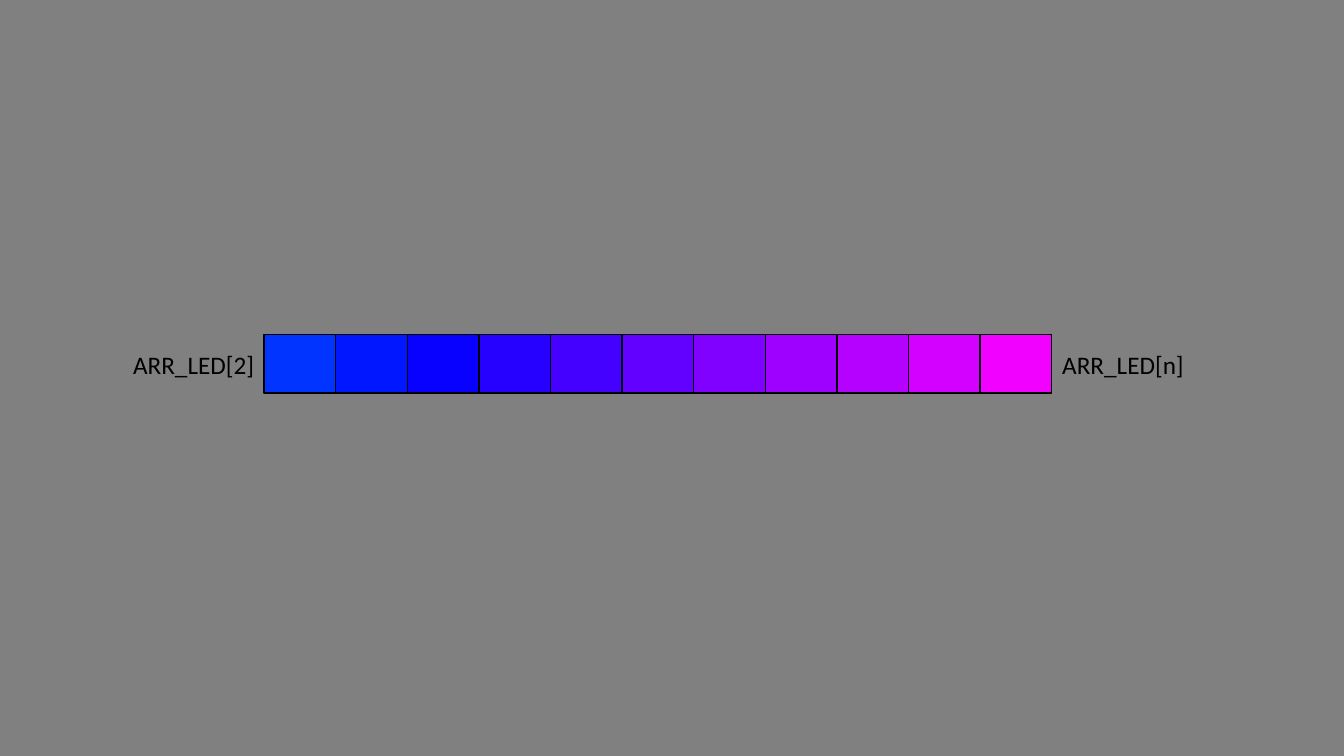
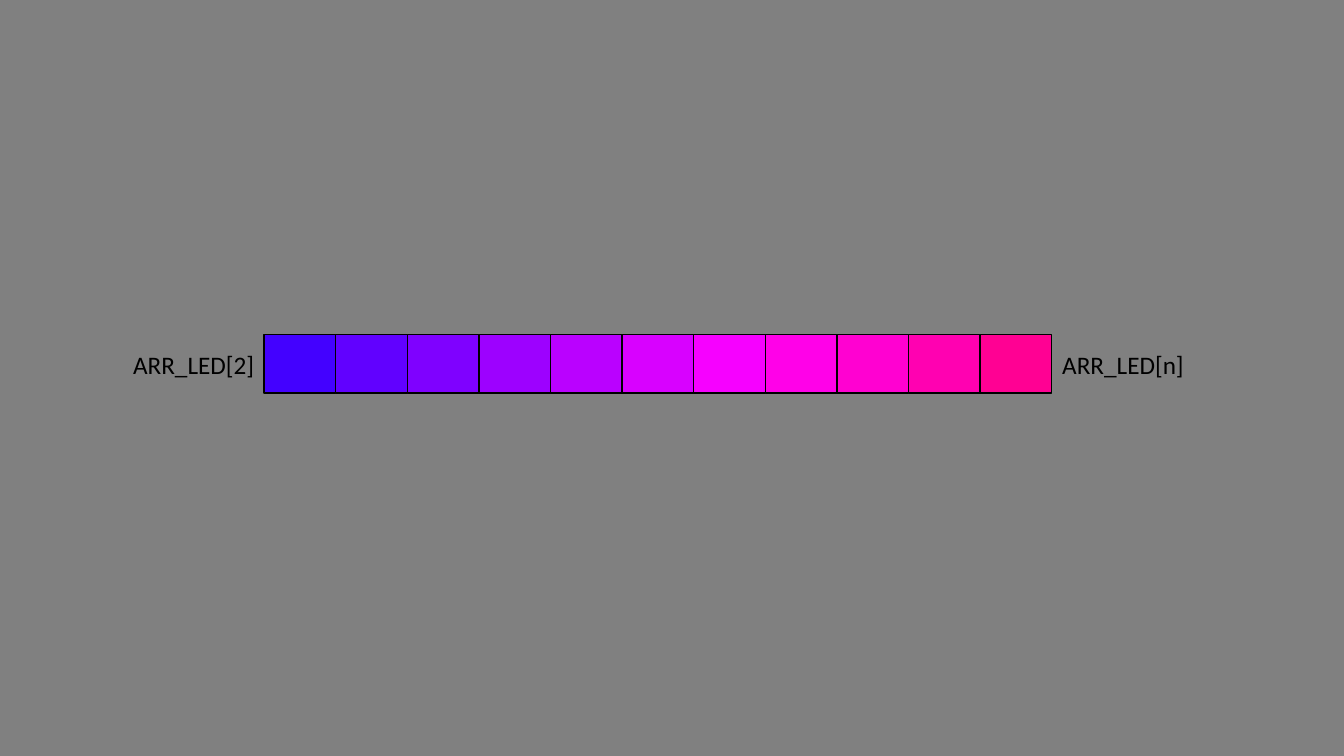
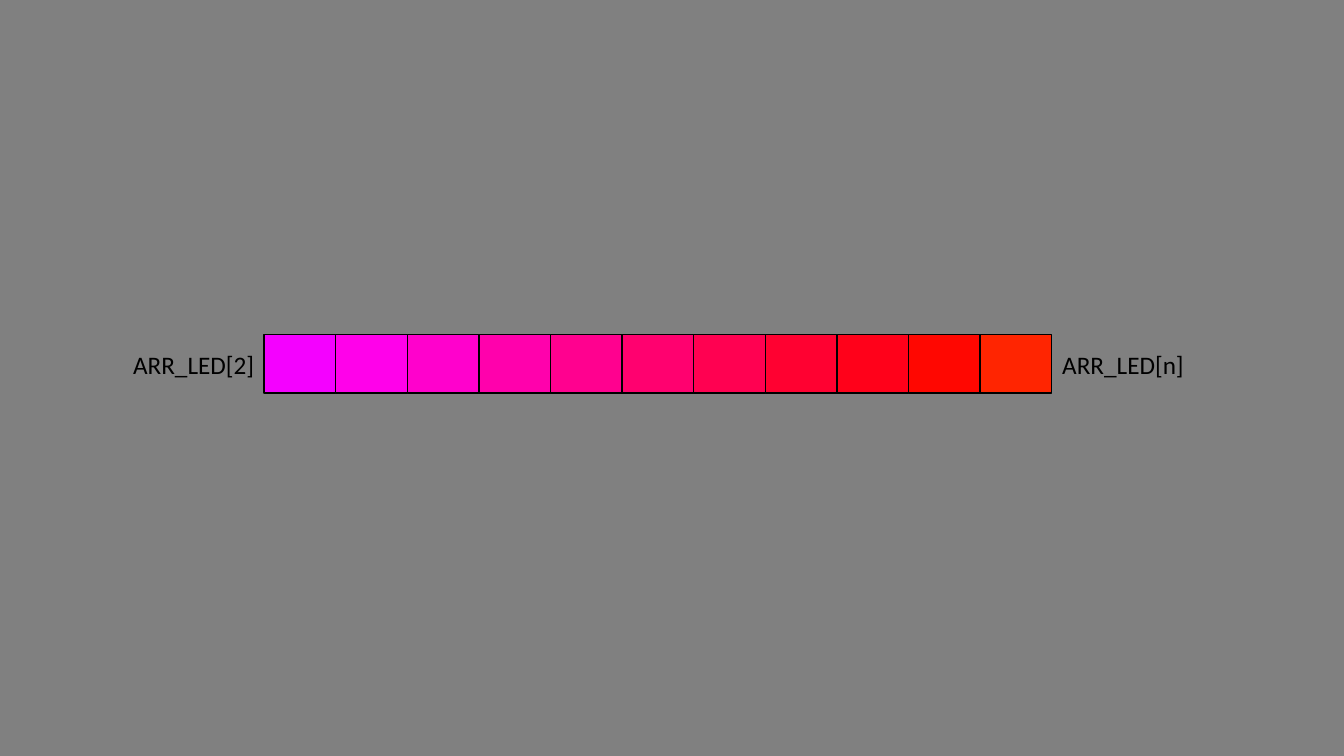
from dataclasses import dataclass

from pptx import Presentation
from pptx import util as u
from pptx.dml import color
from pptx.enum import shapes, text


@dataclass(frozen=True)
class Theme:
    background: str = "808080"
    ink: str = "000000"
    font: str = "Calibri"
    label_size: float = 18
    outline: float = 1


@dataclass(frozen=True)
class Grid:
    """One column is one LED wide, one row is one LED high (inches)."""
    left: float = 2.62
    top: float = 3.32
    column: float = 0.71
    row: float = 0.58

    def area(self, column, row, columns=1, rows=1):
        return (u.Inches(self.left + column * self.column),
                u.Inches(self.top + row * self.row),
                u.Inches(columns * self.column),
                u.Inches(rows * self.row))


THEME = Theme()
GRID = Grid()

# LED colours from first to last, one strip per slide
STRIPS = [
    "0135FF 0117FF 0901FF 2701FF 4401FF 6201FF 8001FF 9E01FF B501FF D301FF F101FF",
    "4301FF 6101FF 7F01FF 9D01FF BA01FF D801FF F601FF FF01E8 FF01D1 FF01B1 FF0193",
    "F401FF FF01EA FF01CC FF01AC FF018F FF016F FF0151 FF0131 FF011A FF0701 FF2501",
]

# Text, column and row of the labels at both ends of the strip
LABELS = [
    ("ARR_LED[2]", -1.97, 0.16),
    ("ARR_LED[n]", 11.01, 0.17),
]


def rgb(value):
    return color.RGBColor.from_string(value)


def add_text(page, content, area, *, size=THEME.label_size, ink=THEME.ink, font=THEME.font):
    box = page.shapes.add_textbox(*area)
    frame = box.text_frame
    frame.word_wrap = False
    frame.auto_size = text.MSO_AUTO_SIZE.SHAPE_TO_FIT_TEXT
    span = frame.paragraphs[0].add_run()
    span.text = content
    span.font.name = font
    span.font.size = u.Pt(size)
    span.font.color.rgb = rgb(ink)


def add_led(page, fill, area):
    led = page.shapes.add_shape(shapes.MSO_SHAPE.RECTANGLE, *area)
    led.shadow.inherit = False
    led.fill.solid()
    led.fill.fore_color.rgb = rgb(fill)
    led.line.color.rgb = rgb(THEME.ink)
    led.line.width = u.Pt(THEME.outline)


def add_strip_page(deck, fills):
    page = deck.slides.add_slide(deck.slide_layouts[6])
    for column, fill in enumerate(fills):
        add_led(page, fill, GRID.area(column, 0))
    for content, column, row in LABELS:
        add_text(page, content, GRID.area(column, row, columns=2, rows=0.69))


def main():
    deck = Presentation()
    deck.slide_width, deck.slide_height = u.Inches(13.33), u.Inches(7.5)

    # Shared background
    backdrop = deck.slide_master.background.fill
    backdrop.solid()
    backdrop.fore_color.rgb = rgb(THEME.background)

    # One page per strip
    for strip in STRIPS:
        add_strip_page(deck, strip.split())
    deck.save("out.pptx")


if __name__ == "__main__":
    main()
